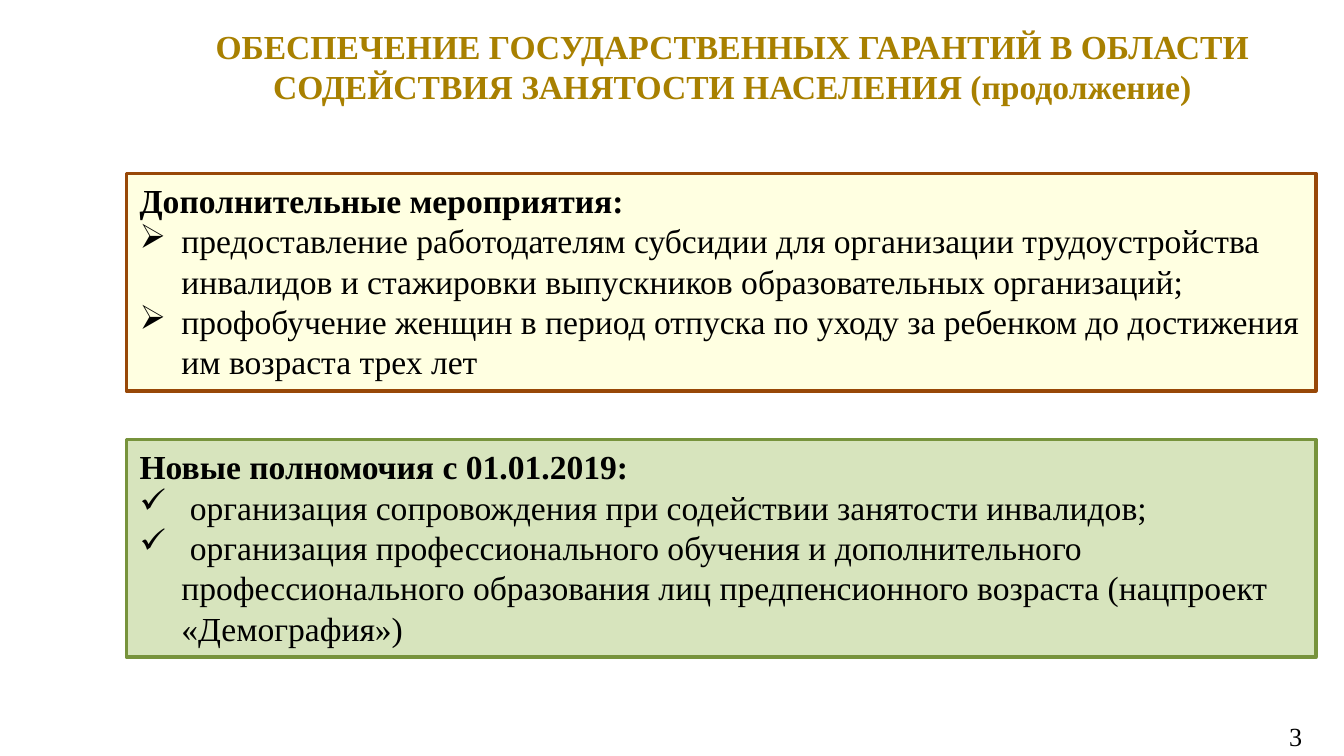
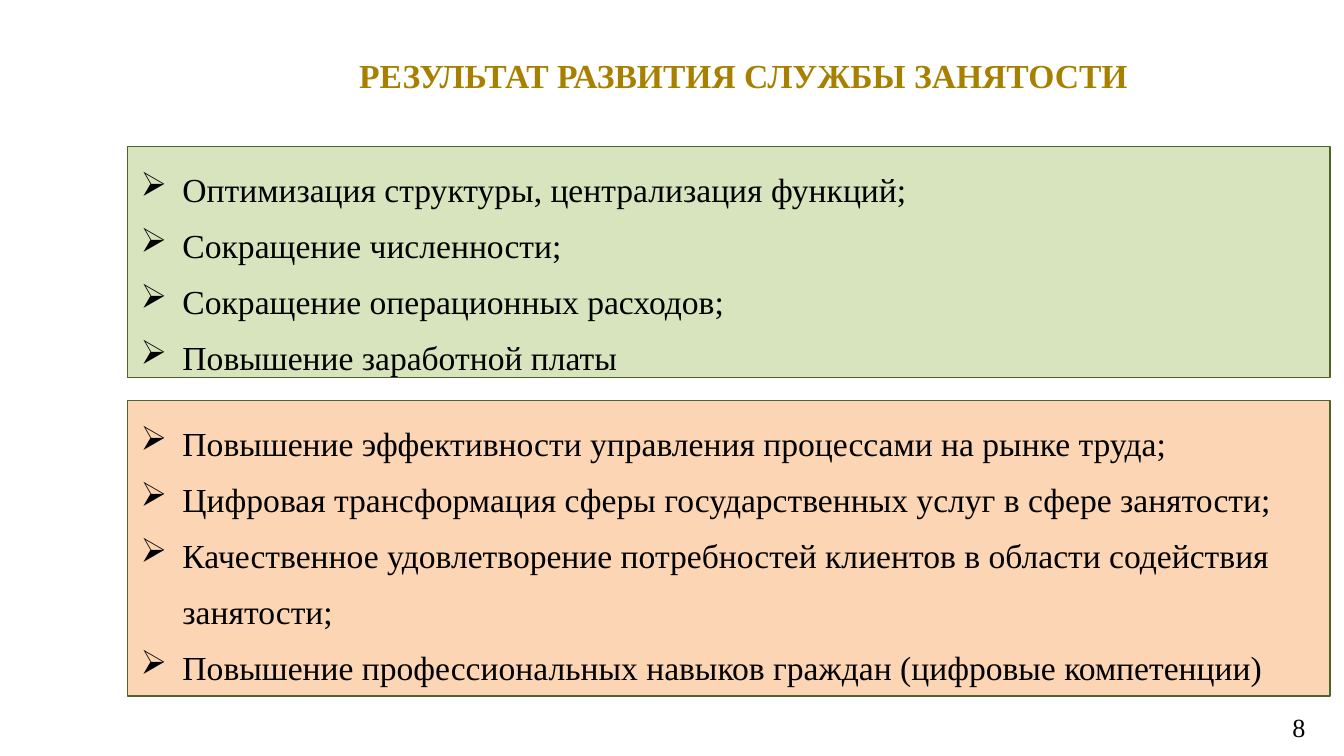
from pptx import Presentation
from pptx.dml.color import RGBColor as Rgb
from pptx.enum.shapes import MSO_SHAPE as Kind
from pptx.enum.text import MSO_ANCHOR as Anchor, PP_ALIGN as Align
from pptx.oxml.ns import qn
from pptx.util import Cm, Pt
from lxml.etree import SubElement as Sub

INK = {
    "gold": "A88000", "black": "000000", "cream": "FFFFE1", "brown": "984807",
    "green": "D7E4BD", "olive": "77933C", "moss": "4F6228", "peach": "FCD5B5",
}
FACE = "Times New Roman"
ARROW, CHECK = "➢", "✓"


def paint(name):
    return Rgb.from_string(INK[name])


def apply(item, values):
    for key, value in values.items():
        setattr(item, key, value)


class Deck:
    """Holds the shared style and the slide being filled."""

    body = {"name": FACE, "size": Pt(18), "bold": False}
    head = {**body, "bold": True}
    small = {**body, "size": Pt(14)}

    def __init__(self):
        self.prs = Presentation()
        apply(self.prs, {"slide_width": Cm(25.4), "slide_height": Cm(14.29)})

    def page(self):
        self.slide = self.prs.slides.add_slide(self.prs.slide_layouts[6])

    def phrase(self, para, text, font, ink="black", **form):
        apply(para, form)
        run = para.add_run()
        run.text = text
        apply(run.font, font)
        run.font.color.rgb = paint(ink)

    def label(self, box, text, font, ink, align, anchor):
        frame = self.slide.shapes.add_textbox(*map(Cm, box)).text_frame
        apply(frame, {"word_wrap": True, "vertical_anchor": anchor})
        self.phrase(frame.paragraphs[0], text, font, ink, alignment=align)

    def title(self, box, text):
        self.label(box, text, self.head, "gold", Align.CENTER, Anchor.TOP)

    def number(self, box, text):
        self.label(box, text, self.small, "black", Align.RIGHT, Anchor.MIDDLE)

    def bullet(self, para, mark):
        props = para._p.get_or_add_pPr()
        props.set("marL", str(Cm(0.79)))
        props.set("indent", str(-Cm(0.79)))
        Sub(props, qn("a:buChar")).set("char", mark)

    def panel(self, box, fill, edge, width, items, mark=ARROW, head=None, pitch=None):
        """Draw a bordered box with an optional heading and a bulleted list."""
        shape = self.slide.shapes.add_shape(Kind.RECTANGLE, *map(Cm, box))
        shape.shadow.inherit = False
        shape.fill.solid()
        shape.fill.fore_color.rgb = paint(fill)
        shape.line.color.rgb = paint(edge)
        shape.line.width = Pt(width)
        frame = shape.text_frame
        apply(frame, {"word_wrap": True, "vertical_anchor": Anchor.TOP})
        para = frame.paragraphs[0]
        if head:
            self.phrase(para, head, self.head, alignment=Align.LEFT)
            para = frame.add_paragraph()
        for rank, item in enumerate(items):
            if rank:
                para = frame.add_paragraph()
            self.bullet(para, mark)
            self.phrase(para, item, self.body, alignment=Align.LEFT, line_spacing=pitch)


def duties(deck):
    deck.page()
    deck.number((23.95, 13.54, 0.91, 0.76), "3")
    deck.title((2.82, 0.36, 22.05, 1.8),
               "ОБЕСПЕЧЕНИЕ ГОСУДАРСТВЕННЫХ ГАРАНТИЙ В ОБЛАСТИ "
               "СОДЕЙСТВИЯ ЗАНЯТОСТИ НАСЕЛЕНИЯ (продолжение)")
    left, wide, high = 2.39, 22.48, 4.11
    deck.panel((left, 3.28, wide, high), "cream", "brown", 2, [
        "предоставление работодателям субсидии для организации трудоустройства "
        "инвалидов и стажировки выпускников образовательных организаций;",
        "профобучение женщин в период отпуска по уходу за ребенком до достижения "
        "им возраста трех лет",
    ], head="Дополнительные мероприятия:")
    deck.panel((left, 8.31, wide, high), "green", "olive", 2, [
        " организация сопровождения при содействии занятости инвалидов;",
        " организация профессионального обучения и дополнительного "
        "профессионального образования лиц предпенсионного возраста "
        "(нацпроект «Демография»)",
    ], CHECK, "Новые полномочия с 01.01.2019:")


def results(deck):
    deck.page()
    deck.title((2.51, 0.91, 23.09, 1.02), "РЕЗУЛЬТАТ РАЗВИТИЯ СЛУЖБЫ ЗАНЯТОСТИ")
    left, wide, pitch = 2.41, 22.73, Pt(30)
    deck.panel((left, 2.77, wide, 4.37), "green", "moss", 0.75, [
        "Оптимизация структуры, централизация функций;",
        "Сокращение численности;",
        "Сокращение операционных расходов;",
        "Повышение заработной платы",
    ], pitch=pitch)
    deck.number((22.91, 13.34, 2.01, 0.79), "8")
    deck.panel((left, 7.57, wide, 5.59), "peach", "moss", 0.75, [
        "Повышение эффективности управления процессами на рынке труда;",
        "Цифровая трансформация сферы государственных услуг в сфере занятости;",
        "Качественное удовлетворение потребностей клиентов в области содействия "
        "занятости;",
        "Повышение профессиональных навыков граждан (цифровые компетенции)",
    ], pitch=pitch)


def main():
    deck = Deck()
    duties(deck)
    results(deck)
    deck.prs.save("out.pptx")


if __name__ == "__main__":
    main()
